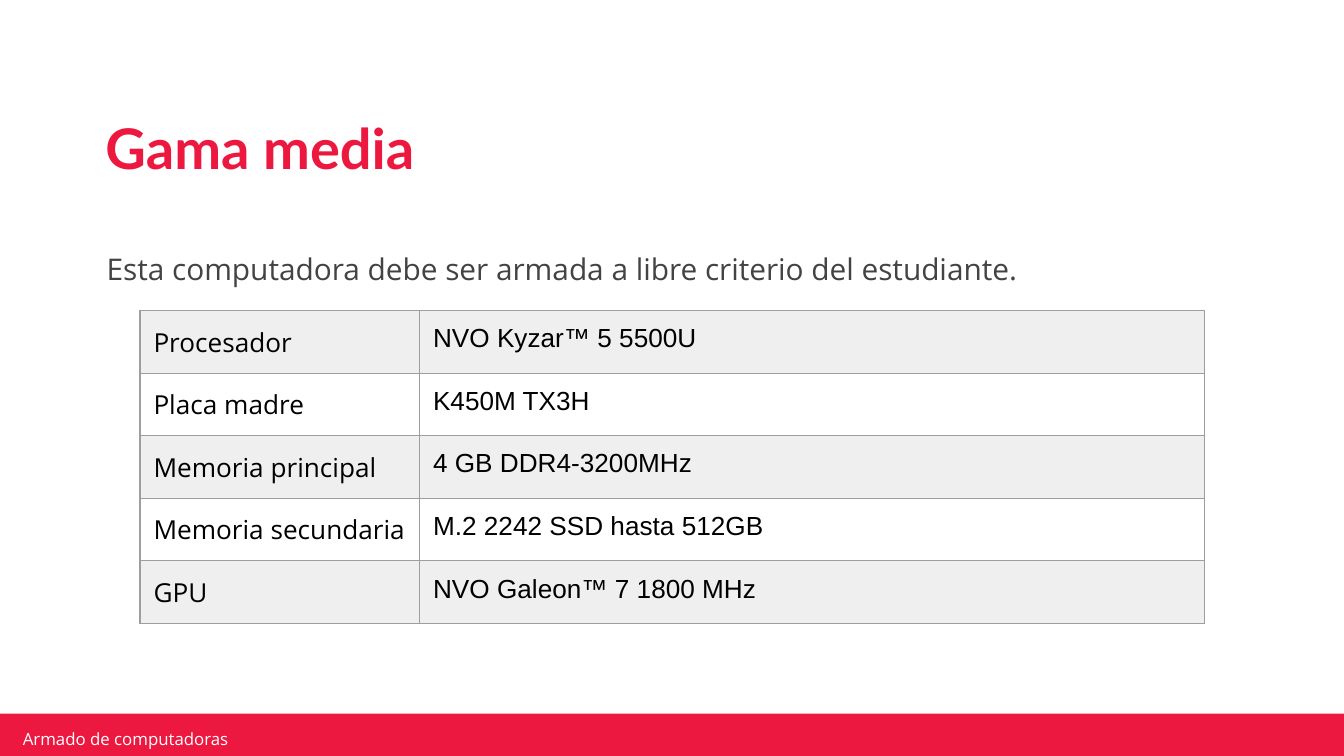
from lxml import etree
from pptx import Presentation
from pptx import util as u
from pptx.dml.color import RGBColor
from pptx.enum import dml, shapes, text
from pptx.oxml import ns

COLORS = {
    "red": "EC183F", "pink": "FCD8D6", "white": "FFFFFF", "band": "EFEFEF",
    "border": "9E9E9E", "black": "000000", "gray": "434343",
}
WIDTH = u.Inches(10)
HEIGHT = WIDTH * 9 // 16

TEXTS = [
    {"text": "Armado de computadoras", "box": (1.2, 96.36, 23.9, 2.67),
     "insets": (0.05, 0.02), "font": ("Open Sans", 9, "white", False),
     "spacing": 1, "anchor": text.MSO_ANCHOR.MIDDLE},
    {"text": "Gama media", "box": (6.95, 11.78, 84, 16.53),
     "insets": (0.09, 0.04), "font": ("Lato", 30, "red", True),
     "spacing": 0.9, "anchor": text.MSO_ANCHOR.MIDDLE},
    {"text": "Esta computadora debe ser armada a libre criterio del estudiante.",
     "box": (6.95, 29.87, 88.3, 5.33),
     "insets": (0.1, 0.05), "font": ("Open Sans", 16, "gray", False),
     "spacing": 1.5, "anchor": text.MSO_ANCHOR.TOP},
]
COMPONENTS = [
    ("Procesador", "NVO Kyzar™ 5 5500U"),
    ("Placa madre", "K450M TX3H"),
    ("Memoria principal", "4 GB DDR4-3200MHz"),
    ("Memoria secundaria", "M.2 2242 SSD hasta 512GB"),
    ("GPU", "NVO Galeon™ 7 1800 MHz"),
]
COLUMN_SHARES = (20.8, 58.4)
COLUMN_FONTS = ("Open Sans", "Arial")
ROW_SHARE = 7.47


def color(name):
    return RGBColor.from_string(COLORS[name])


def across(percent):
    return round(WIDTH * percent / 100)


def down(percent):
    return round(HEIGHT * percent / 100)


def place(left, top, width, height):
    return across(left), down(top), across(width), down(height)


def style_runs(paragraph, name, size, color_name, bold=False):
    for run in paragraph.runs:
        run.font.name = name
        run.font.size = u.Pt(size)
        run.font.bold = bold
        run.font.color.rgb = color(color_name)


def add_text(slide, item):
    shape = slide.shapes.add_textbox(*place(*item["box"]))
    frame = shape.text_frame
    frame.text = item["text"]
    frame.word_wrap = True
    frame.vertical_anchor = item["anchor"]
    side, edge = map(u.Inches, item["insets"])
    frame.margin_left = frame.margin_right = side
    frame.margin_top = frame.margin_bottom = edge
    paragraph = frame.paragraphs[0]
    paragraph.line_spacing = item["spacing"]
    style_runs(paragraph, *item["font"])


def add_footer(slide):
    line = slide.shapes.add_connector(
        shapes.MSO_CONNECTOR.STRAIGHT,
        across(-0.2), down(94.58), across(100.2), down(94.58))
    line.line.color.rgb = color("pink")
    line.line.width = u.Pt(0.75)
    line.line.dash_style = dml.MSO_LINE.ROUND_DOT
    etree.SubElement(line.element.spPr, ns.qn("a:effectLst"))

    bar = slide.shapes.add_shape(
        shapes.MSO_SHAPE.RECTANGLE, *place(-0.2, 94.4, 100.3, 6.4))
    bar.shadow.inherit = False
    bar.fill.solid()
    bar.fill.fore_color.rgb = color("red")
    bar.line.fill.background()


def add_borders(cell):
    properties = cell._tc.get_or_add_tcPr()
    for index, side in enumerate(("lnL", "lnR", "lnT", "lnB")):
        border = etree.Element(ns.qn(f"a:{side}"), w=str(u.Pt(0.75)))
        fill = etree.SubElement(border, ns.qn("a:solidFill"))
        etree.SubElement(fill, ns.qn("a:srgbClr"), val=COLORS["border"])
        properties.insert(index, border)


def add_components(slide):
    rows, columns = len(COMPONENTS), len(COLUMN_SHARES)
    table = slide.shapes.add_table(
        rows, columns,
        *place(10.42, 41.1, sum(COLUMN_SHARES), ROW_SHARE * rows)).table
    for column, share in zip(table.columns, COLUMN_SHARES):
        column.width = across(share)
    for row_index, values in enumerate(COMPONENTS):
        table.rows[row_index].height = down(ROW_SHARE)
        for column_index, value in enumerate(values):
            cell = table.cell(row_index, column_index)
            cell.text_frame.text = value
            cell.margin_left = cell.margin_right = u.Inches(0.1)
            cell.margin_top = cell.margin_bottom = u.Inches(0.1)
            cell.fill.solid()
            cell.fill.fore_color.rgb = color("white" if row_index % 2 else "band")
            style_runs(cell.text_frame.paragraphs[0],
                       COLUMN_FONTS[column_index], 14, "black")
            add_borders(cell)


def main():
    presentation = Presentation()
    presentation.slide_width, presentation.slide_height = WIDTH, HEIGHT
    slide = presentation.slides.add_slide(presentation.slide_layouts[6])
    slide.background.fill.solid()
    slide.background.fill.fore_color.rgb = color("white")
    add_footer(slide)
    add_components(slide)
    for item in TEXTS:
        add_text(slide, item)
    presentation.save("out.pptx")


if __name__ == "__main__":
    main()
